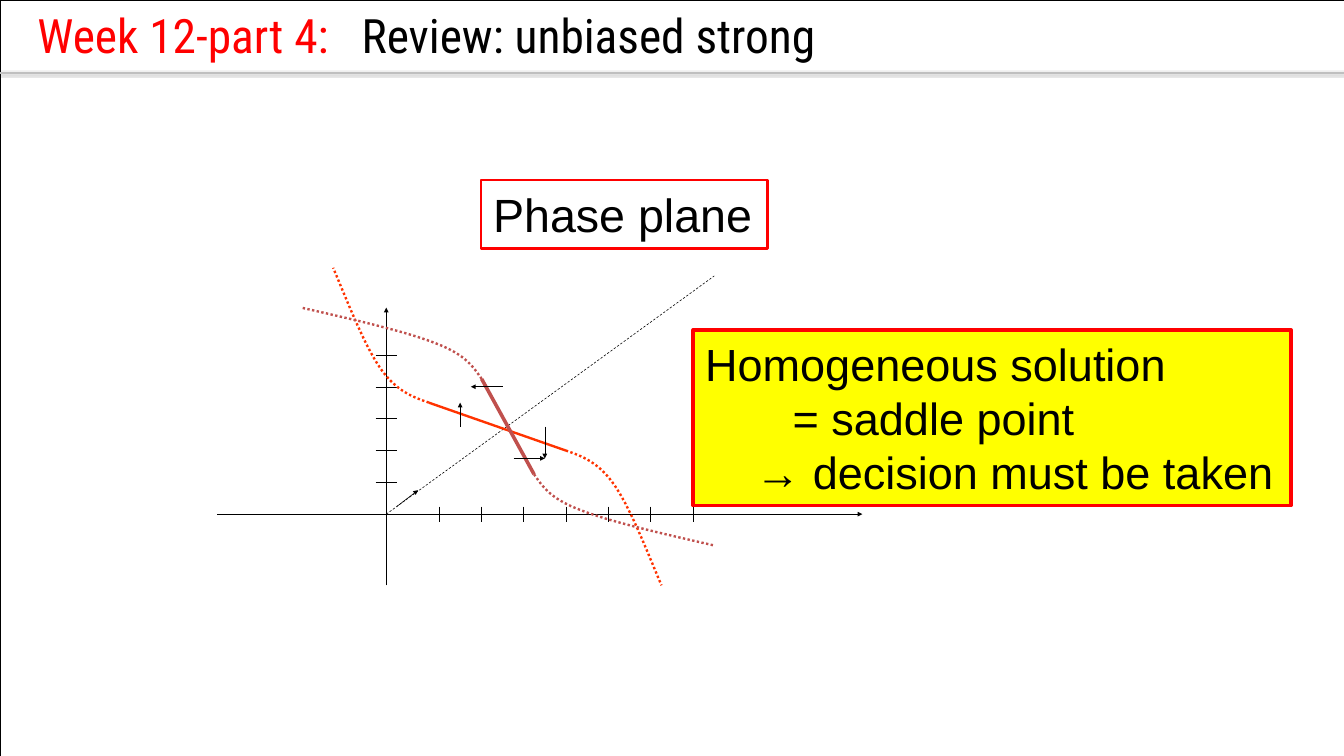
from dataclasses import dataclass

from pptx import Presentation
from pptx.dml.color import RGBColor as RGB
from pptx.enum.dml import MSO_LINE as Dash
from pptx.enum.shapes import MSO_CONNECTOR as Link, MSO_SHAPE as Kind
from pptx.enum.text import MSO_ANCHOR as Anchor, MSO_AUTO_SIZE as Fit, PP_ALIGN as Align
from pptx.oxml import parse_xml
from pptx.oxml.ns import nsdecls, qn
from pptx.util import Cm, Pt


@dataclass(frozen=True)
class Theme:
    ink: RGB = RGB(0, 0, 0)
    red: RGB = RGB(0xFF, 0, 0)
    orange: RGB = RGB(0xFF, 0x33, 0)
    brown: RGB = RGB(0xC0, 0x50, 0x4D)
    yellow: RGB = RGB(0xFF, 0xFF, 0)
    grey: RGB = RGB(0xBF, 0xBF, 0xBF)
    head: str = "Roboto Condensed"
    body: str = "Arial"
    title: float = 60
    label: float = 59
    note: float = 57
    thin: float = 0.75
    rule: float = 2
    curve: float = 3
    bold: float = 4.5


T = Theme()

# Content; all lengths are in centimetres
WIDTH, HEIGHT = 60.02, 33.76
TITLE = [("Week 12-part 4:", T.red), ("\tReview: unbiased strong", T.ink)]
TITLE_BOX, TITLE_TAB = (1.42, 0, 57.94, 4.09), 14.48
RULE_Y = 3.25

LABEL = [("Phase plane", 0)]
LABEL_BOX = (21.49, 8.03, 12.78, 3.07)
NOTE = [  # line, indent
    ("Homogeneous solution", 0),
    ("= saddle point", 3.91),
    ("→ decision must be taken", 2.24),
]
NOTE_BOX = (30.96, 14.73, 26.7, 7.85)

ORIGIN = OX, OY = 17.25, 22.96
AXES = [((OX, 26.14), (OX, 13.74)), ((9.7, OY), (38.51, OY))]
DIAGONAL = (31.9, 12.32)
X_TICKS = dict(first=19.61, step=1.89, count=7, half=0.34)
Y_TICKS = dict(first=OY - 1.42, step=-1.42, count=5, half=0.48)

# Each nullcline: colour, width of the straight part, centre of symmetry,
# control points of the lower branch (two Bezier pieces)
NULLCLINES = [
    (T.orange, T.curve, (22.21, 19.05),
     [(25.27, 20.12), (25.98, 20.37), (26.7, 20.62), (27.41, 21.62),
      (28.12, 22.63), (28.8, 24.38), (29.54, 26.14)]),
    (T.brown, T.bold, (22.68, 19.05),
     [(23.85, 21.18), (24.21, 21.69), (24.54, 22.25), (25.88, 22.76),
      (27.2, 23.29), (29.57, 23.83), (31.9, 24.36)]),
]
FLOW = [
    ((24.33, 19.05), (24.33, 20.47)),
    ((22.94, 20.47), (24.33, 20.47)),
    ((20.55, 19.05), (20.55, 17.98)),
    ((22.45, 17.27), (21.03, 17.27)),
    ((17.73, 22.61), (18.67, 21.89)),
]


def apply(item, **values):
    for name, value in values.items():
        setattr(item, name, value)


def stroke(line, color, width, dash=None):
    line.color.rgb = color
    apply(line, width=Pt(width), dash_style=dash)


def draw_line(shapes, start, end, color=T.ink, width=T.thin, dash=None, arrow=False):
    link = shapes.add_connector(Link.STRAIGHT, *map(Cm, (*start, *end)))
    stroke(link.line, color, width, dash)
    props = link._element.spPr
    if arrow:
        props.find(qn("a:ln")).append(
            parse_xml(f'<a:tailEnd {nsdecls("a")} type="triangle"/>'))
    effects = parse_xml(f'<a:effectLst {nsdecls("a")}/>')
    props.append(effects)
    return effects


def bezier(points, steps=16):
    """Sample a chain of cubic pieces that share their end points."""
    path = [points[0]]
    for k in range(0, len(points) - 1, 3):
        piece = points[k:k + 4]
        for n in range(1, steps + 1):
            t = n / steps
            u = 1 - t
            weights = (u**3, 3 * u * u * t, 3 * u * t * t, t**3)
            path.append(tuple(sum(w * p[axis] for w, p in zip(weights, piece))
                              for axis in (0, 1)))
    return path


def draw_curve(shapes, points, color):
    path = [(Cm(x), Cm(y)) for x, y in bezier(points)]
    pen = shapes.build_freeform(*path[0])
    pen.add_line_segments(path[1:], close=False)
    curve = pen.convert_to_shape()
    curve.shadow.inherit = False
    curve.fill.background()
    stroke(curve.line, color, T.curve, Dash.ROUND_DOT)


def draw_box(shapes, box, color, width, fill=None):
    shape = shapes.add_shape(Kind.RECTANGLE, *map(Cm, box))
    shape.shadow.inherit = False
    if fill is None:
        shape.fill.background()
    else:
        shape.fill.solid()
        shape.fill.fore_color.rgb = fill
    stroke(shape.line, color, width)
    return shape


def write(shape, lines, size):
    frame = shape.text_frame
    apply(frame, word_wrap=True, auto_size=Fit.NONE, vertical_anchor=Anchor.TOP,
          margin_left=Cm(0.53), margin_right=0, margin_top=Cm(0.28), margin_bottom=0)
    for k, (text, indent) in enumerate(lines):
        para = frame.add_paragraph() if k else frame.paragraphs[0]
        para.text = text
        para.alignment = Align.LEFT
        para._p.get_or_add_pPr().set("marL", str(Cm(indent)))
        apply(para.font, name=T.body, size=Pt(size))
        para.font.color.rgb = T.ink


def draw_title(title):
    left, top, width, height = map(Cm, TITLE_BOX)
    apply(title, left=left, top=top, width=width, height=height)
    frame = title.text_frame
    apply(frame, word_wrap=True, auto_size=Fit.NONE, vertical_anchor=Anchor.TOP,
          margin_left=Cm(0.25), margin_top=Cm(0.28))
    para = frame.paragraphs[0]
    apply(para, alignment=Align.LEFT, line_spacing=1.0)
    para._p.get_or_add_pPr().append(parse_xml(
        f'<a:tabLst {nsdecls("a")}><a:tab pos="{Cm(TITLE_TAB)}" algn="l"/></a:tabLst>'))
    for text, color in TITLE:
        run = para.add_run()
        run.text = text
        apply(run.font, name=T.head, size=Pt(T.title))
        run.font.color.rgb = color


def draw_ticks(shapes, first, step, count, half, upright):
    for k in range(count):
        at = first + k * step
        if upright:
            draw_line(shapes, (at, OY - half), (at, OY + half))
        else:
            draw_line(shapes, (OX - half, at), (OX + half, at))


def draw_plane(shapes):
    for start, end in AXES:
        draw_line(shapes, start, end, arrow=True)
    draw_line(shapes, ORIGIN, DIAGONAL, dash=Dash.DASH)
    draw_ticks(shapes, **X_TICKS, upright=True)
    draw_ticks(shapes, **Y_TICKS, upright=False)
    for color, width, (cx, cy), lower in NULLCLINES:
        upper = [(2 * cx - x, 2 * cy - y) for x, y in lower]
        draw_line(shapes, upper[0], lower[0], color, width)
        for branch in (lower, upper):
            draw_curve(shapes, branch, color)


def main():
    deck = Presentation()
    apply(deck, slide_width=Cm(WIDTH), slide_height=Cm(HEIGHT))
    slide = deck.slides.add_slide(deck.slide_layouts[5])
    shapes = slide.shapes
    draw_title(shapes.title)
    draw_box(shapes, (0, 0, WIDTH, HEIGHT), T.ink, T.thin)
    write(draw_box(shapes, LABEL_BOX, T.red, T.curve), LABEL, T.label)
    draw_plane(shapes)
    write(draw_box(shapes, NOTE_BOX, T.red, T.bold, T.yellow), NOTE, T.note)
    for start, end in FLOW:
        draw_line(shapes, start, end, arrow=True)
    rule = draw_line(shapes, (0, RULE_Y), (WIDTH, RULE_Y), T.grey, T.rule)
    rule.append(parse_xml(
        f'<a:outerShdw {nsdecls("a")} blurRad="{Pt(3.1)}" dist="{Pt(1.6)}" dir="5400000">'
        '<a:srgbClr val="000000"><a:alpha val="38000"/></a:srgbClr></a:outerShdw>'))
    deck.save("out.pptx")


if __name__ == "__main__":
    main()
